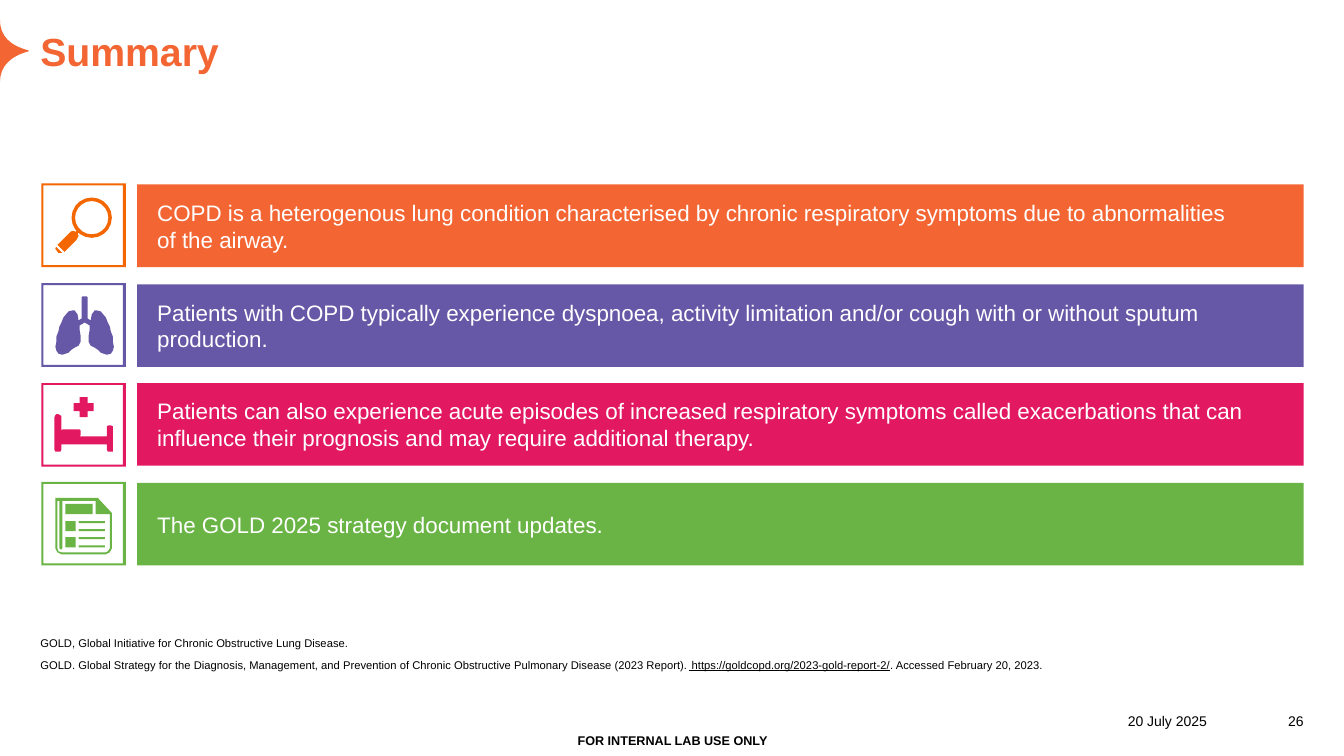
from math import ceil, cos, pi, sin

from lxml import etree
from pptx import Presentation
from pptx.dml.color import RGBColor
from pptx.enum.shapes import MSO_SHAPE
from pptx.enum.text import MSO_ANCHOR, PP_ALIGN
from pptx.oxml.ns import qn
from pptx.util import Pt

PX = 9144  # EMU per px, 100 px to the inch

ORANGE = RGBColor(0xF3, 0x66, 0x33)
ICON_ORANGE = RGBColor(0xF3, 0x66, 0x00)
PURPLE = RGBColor(0x66, 0x58, 0xA6)
PINK = RGBColor(0xE2, 0x18, 0x60)
GREEN = RGBColor(0x69, 0xB4, 0x45)
WHITE = RGBColor(0xFF, 0xFF, 0xFF)
BLACK = RGBColor(0, 0, 0)

ICON_LEFT = 41
BAR_LEFT, BAR_WIDTH, BAR_HEIGHT = 136, 1157, 82
FIRST_ROW, LAST_ROW = 182, 478

# Icon outlines, in px from the icon's top left corner
HANDLE = [(35, 47), (34, 48), (32, 47), (31, 47), (29, 48), (28, 49), (16, 61),
          (23, 68), (35, 56), (37, 52), (36, 50), (37, 49)]
HANDLE_TIP = [(21, 69), (15, 63), (14, 64), (14, 65), (17, 69), (20, 69)]
LEFT_LUNG = [(41, 13), (40, 14), (40, 35), (37, 37), (36, 31), (33, 27), (31, 27),
             (27, 28), (22, 34), (20, 39), (18, 43), (17, 48), (15, 53), (15, 58),
             (14, 63), (15, 67), (17, 70), (21, 71), (24, 70), (27, 69), (30, 66),
             (33, 64), (37, 62), (39, 58), (39, 52), (38, 46), (38, 42), (43, 39)]
RIGHT_LUNG = [(86 - x, y) for x, y in reversed(LEFT_LUNG)]
CROSS = [(52, 20), (46, 20), (46, 14), (38, 14), (38, 20), (32, 20), (32, 28),
         (38, 28), (38, 34), (46, 34), (46, 28), (52, 28)]
BED = [(20, 33), (19, 32), (17, 31), (15, 31), (14, 32), (13, 34), (13, 66), (14, 68),
       (15, 68), (17, 68), (19, 68), (20, 66), (20, 61), (65, 61), (65, 66), (66, 68),
       (67, 68), (69, 68), (71, 68), (71, 66), (71, 45), (71, 43), (69, 42), (67, 42),
       (65, 43), (65, 45), (65, 53), (38, 53), (39, 52), (39, 47), (38, 46), (21, 46),
       (20, 47)]
PAGE_EDGE = [(14, 16), (56, 16), (70, 31), (70, 66), (68, 70), (64, 72), (20, 72),
             (16, 70), (14, 66)]
PAGE_INSIDE = [(16, 19), (18, 19), (18, 66), (19, 67), (20, 67), (21, 66), (21, 19),
               (54, 19), (54, 32), (68, 32), (68, 66), (66, 69), (64, 70), (20, 70),
               (17, 69), (16, 66)]


def box_outline(left, top, width, height):
    right, bottom = left + width, top + height
    return [(left, top), (right, top), (right, bottom), (left, bottom)]


def circle_outline(center_x, center_y, radius, sides=20):
    return [(center_x + radius * cos(2 * pi * side / sides),
             center_y + radius * sin(2 * pi * side / sides)) for side in range(sides)]


FRAME = [box_outline(0, 0, 84, 83), box_outline(2, 2, 79, 79)]
MAGNIFIER = [circle_outline(50, 34, 20), circle_outline(50, 34, 16.5), HANDLE, HANDLE_TIP]
LUNGS = [LEFT_LUNG + RIGHT_LUNG]
HOSPITAL_BED = [CROSS, BED]
DOCUMENT = [PAGE_EDGE, PAGE_INSIDE, box_outline(24, 22, 27, 10),
            *(box_outline(24, y, 10, 10) for y in (39, 55)),
            *(box_outline(37, 39 + 8 * line, 26, 2) for line in range(4))]


def paint(shape, color):
    shape.shadow.inherit = False
    shape.fill.solid()
    shape.fill.fore_color.rgb = color
    shape.line.fill.background()


def add_outlines(slide, outlines, color, left=0, top=0):
    """Draw all outlines as one shape; an outline inside another is a hole."""
    scaled = [[(x * PX, y * PX) for x, y in outline] for outline in outlines]
    builder = slide.shapes.build_freeform(*scaled[0][0], scale=1.0)
    builder.add_line_segments(scaled[0][1:])
    for outline in scaled[1:]:
        builder.move_to(*outline[0])
        builder.add_line_segments(outline[1:])
    shape = builder.convert_to_shape(left * PX, top * PX)
    paint(shape, color)
    return shape


def add_spike(slide):
    """Curved orange point at the left edge; every three points make one curve."""
    spike = add_outlines(slide, [[(0, 20), (0, 36), (10, 45), (28, 50),
                                  (29, 50), (29, 51), (28, 51),
                                  (10, 56), (0, 66), (0, 81)]], ORANGE)
    segments = list(spike.element.iter(qn("a:lnTo")))[:9]
    for first in range(0, 9, 3):
        curve = etree.Element(qn("a:cubicBezTo"))
        segments[first].addprevious(curve)
        for segment in segments[first:first + 3]:
            curve.append(segment[0])
            segment.getparent().remove(segment)


def format_runs(paragraph, size, color, bold=False):
    for run in paragraph.runs:
        run.font.name = "Arial"
        run.font.size = Pt(size)
        run.font.bold = bold
        run.font.color.rgb = color


def set_frame(frame, anchor, insets):
    frame.word_wrap = True
    frame.vertical_anchor = anchor
    (frame.margin_left, frame.margin_top,
     frame.margin_right, frame.margin_bottom) = (inset * PX for inset in insets)


def add_label(slide, text, box, size, color=BLACK, bold=False,
              align=PP_ALIGN.LEFT, anchor=MSO_ANCHOR.BOTTOM, insets=(0, 0, 0, 0)):
    frame = slide.shapes.add_textbox(*(length * PX for length in box)).text_frame
    set_frame(frame, anchor, insets)
    frame.text = text
    frame.paragraphs[0].alignment = align
    format_runs(frame.paragraphs[0], size, color, bold)
    return frame


def add_bar(slide, top, color, message):
    bar = slide.shapes.add_shape(
        MSO_SHAPE.RECTANGLE,
        *(length * PX for length in (BAR_LEFT, top, BAR_WIDTH, BAR_HEIGHT)))
    paint(bar, color)
    set_frame(bar.text_frame, MSO_ANCHOR.MIDDLE, (20, 10, 58, 10))
    bar.text_frame.text = message
    bar.text_frame.paragraphs[0].alignment = PP_ALIGN.LEFT
    format_runs(bar.text_frame.paragraphs[0], 16, WHITE)


def add_references(slide):
    frame = add_label(slide, "GOLD, Global Initiative for Chronic Obstructive Lung Disease.",
                      (40, 641, 1253, 33), 8, insets=(0, 8, 0, 8))
    frame.paragraphs[0].space_after = Pt(3)
    citation = frame.add_paragraph()
    citation.space_before = citation.space_after = Pt(3)
    for text, underlined in (
            ("GOLD. Global Strategy for the Diagnosis, Management, and Prevention of "
             "Chronic Obstructive Pulmonary Disease (2023 Report).", False),
            (" https://goldcopd.org/2023-gold-report-2/", True),
            (". Accessed February 20, 2023.", False)):
        run = citation.add_run()
        run.text = text
        run.font.underline = underlined
    format_runs(citation, 8, BLACK)


def main():
    deck = Presentation()
    deck.slide_width, deck.slide_height = 1333 * PX, 750 * PX
    slide = deck.slides.add_slide(deck.slide_layouts[6])

    add_spike(slide)
    add_label(slide, "Summary", (40, 27, 1253, 47), 28, ORANGE, bold=True)

    rows = [
        (MAGNIFIER, ICON_ORANGE, ORANGE,
         "COPD is a heterogenous lung condition characterised by chronic respiratory "
         "symptoms due to abnormalities of the airway."),
        (LUNGS, PURPLE, PURPLE,
         "Patients with COPD typically experience dyspnoea, activity limitation and/or "
         "cough with or without sputum production."),
        (HOSPITAL_BED, PINK, PINK,
         "Patients can also experience acute episodes of increased respiratory symptoms "
         "called exacerbations that can influence their prognosis and may require "
         "additional therapy."),
        (DOCUMENT, GREEN, GREEN, "The GOLD 2025 strategy document updates."),
    ]
    pitch = (LAST_ROW - FIRST_ROW) / (len(rows) - 1)
    for index, (icon, icon_color, bar_color, message) in enumerate(rows):
        add_outlines(slide, FRAME + icon, icon_color,
                     ICON_LEFT, FIRST_ROW + ceil(pitch * index))
        add_bar(slide, FIRST_ROW + 1 + round(pitch * index), bar_color, message)

    add_references(slide)
    add_label(slide, "20 July 2025", (893, 694, 304, 30), 10, align=PP_ALIGN.RIGHT)
    add_label(slide, "26", (1234, 694, 59, 30), 10, align=PP_ALIGN.RIGHT)
    add_label(slide, "FOR INTERNAL LAB USE ONLY", (499, 722, 336, 25), 9, bold=True,
              align=PP_ALIGN.CENTER, anchor=MSO_ANCHOR.TOP, insets=(10, 5, 10, 5))
    deck.save("out.pptx")


if __name__ == "__main__":
    main()
